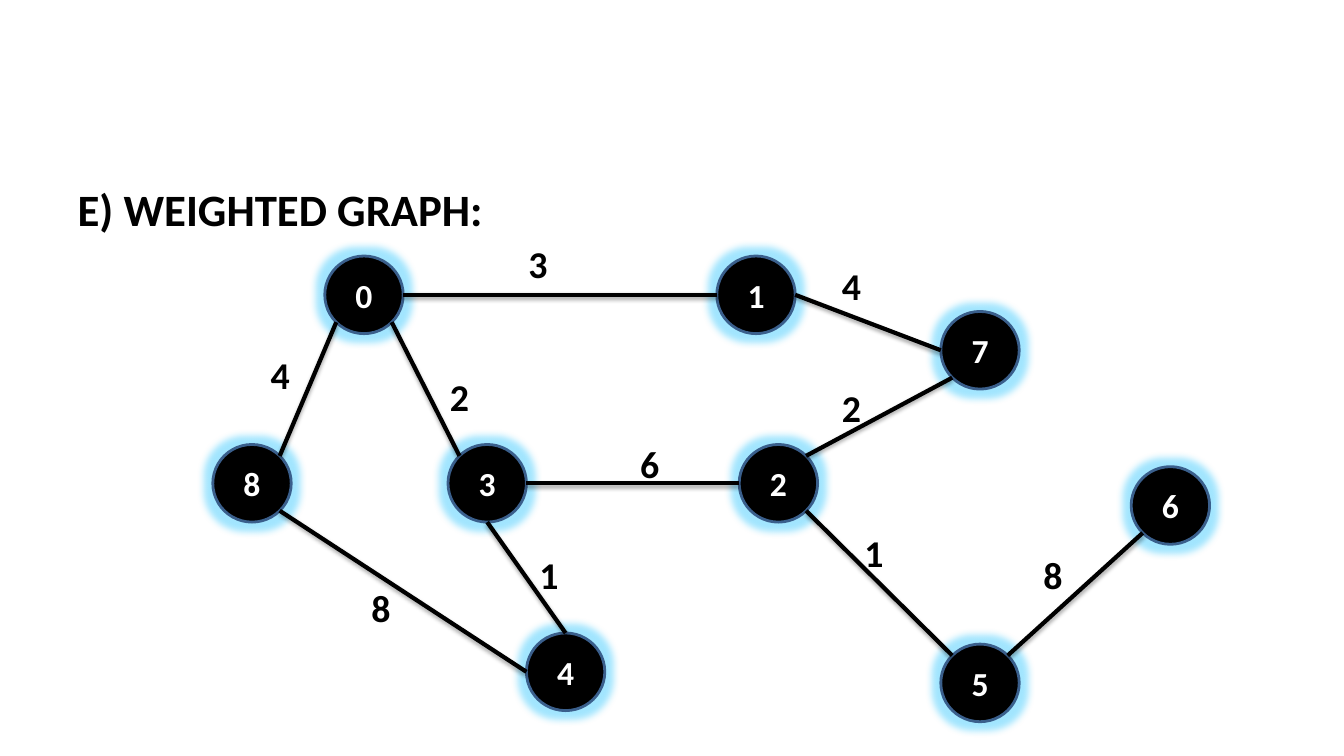
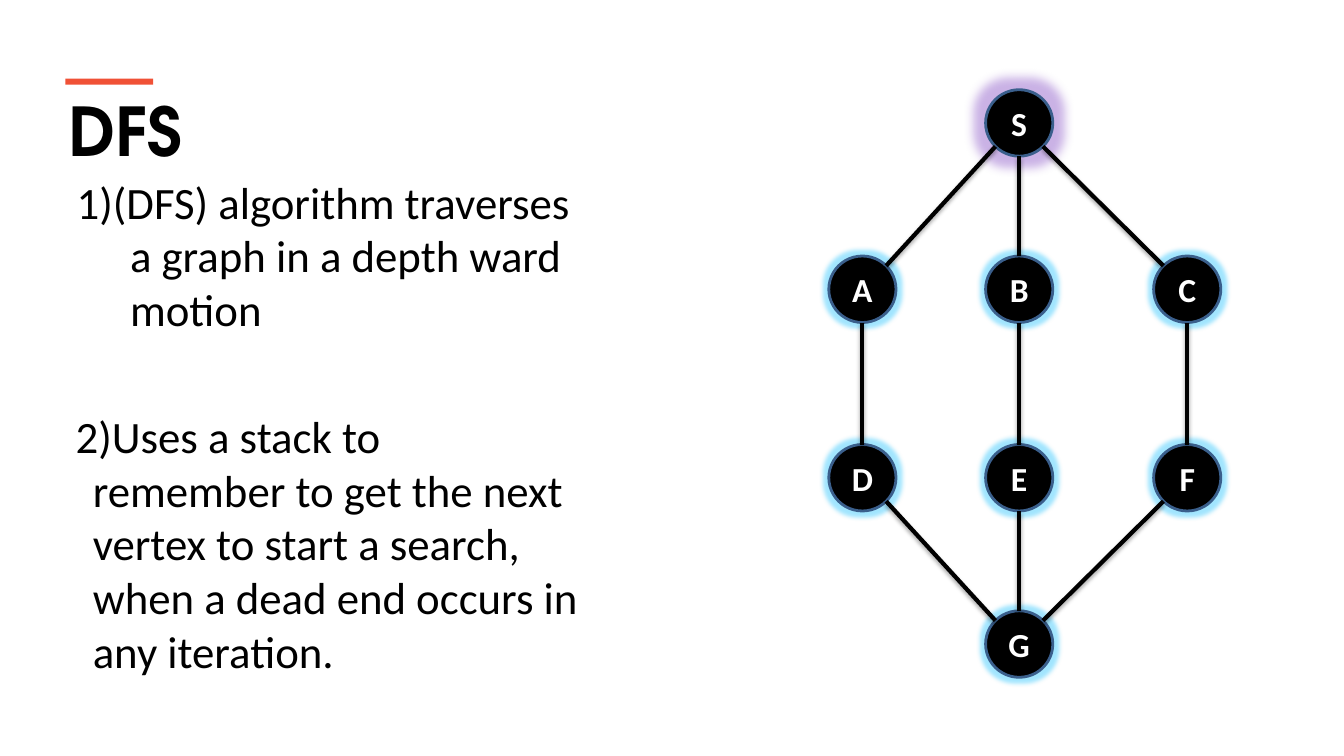
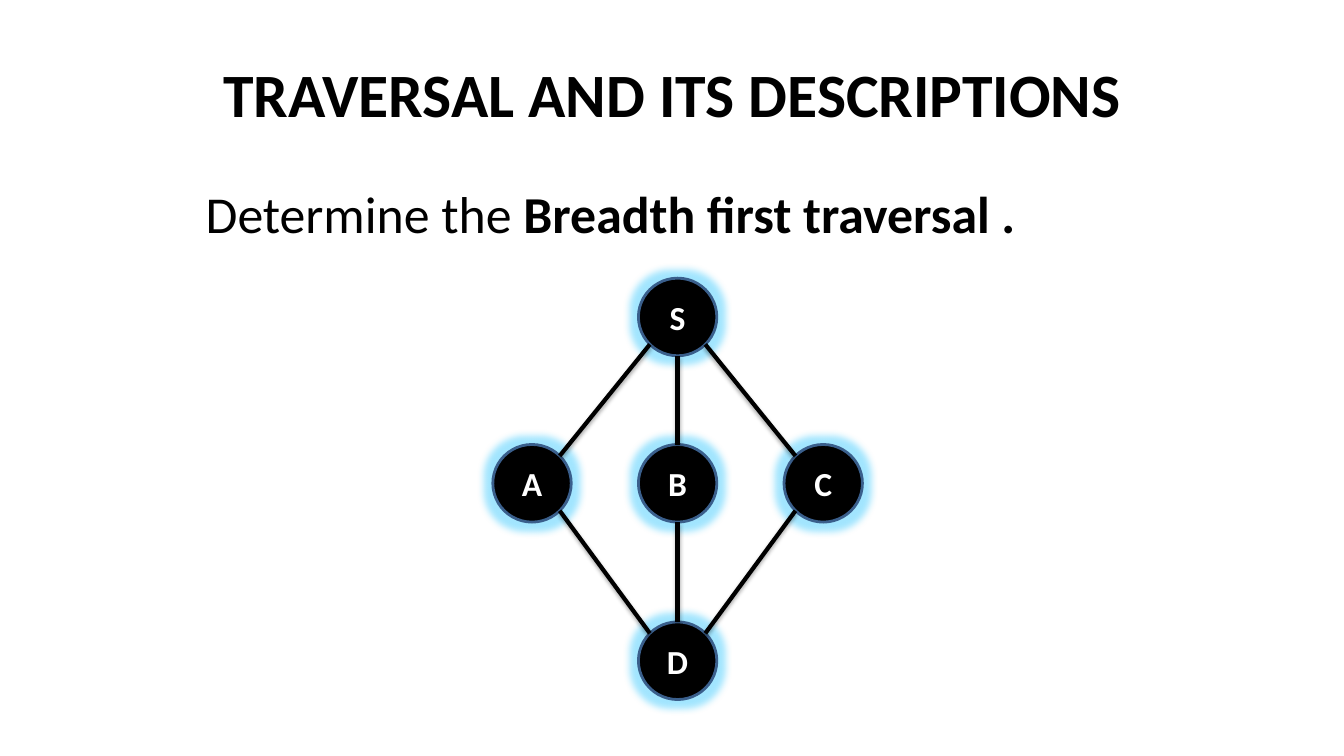
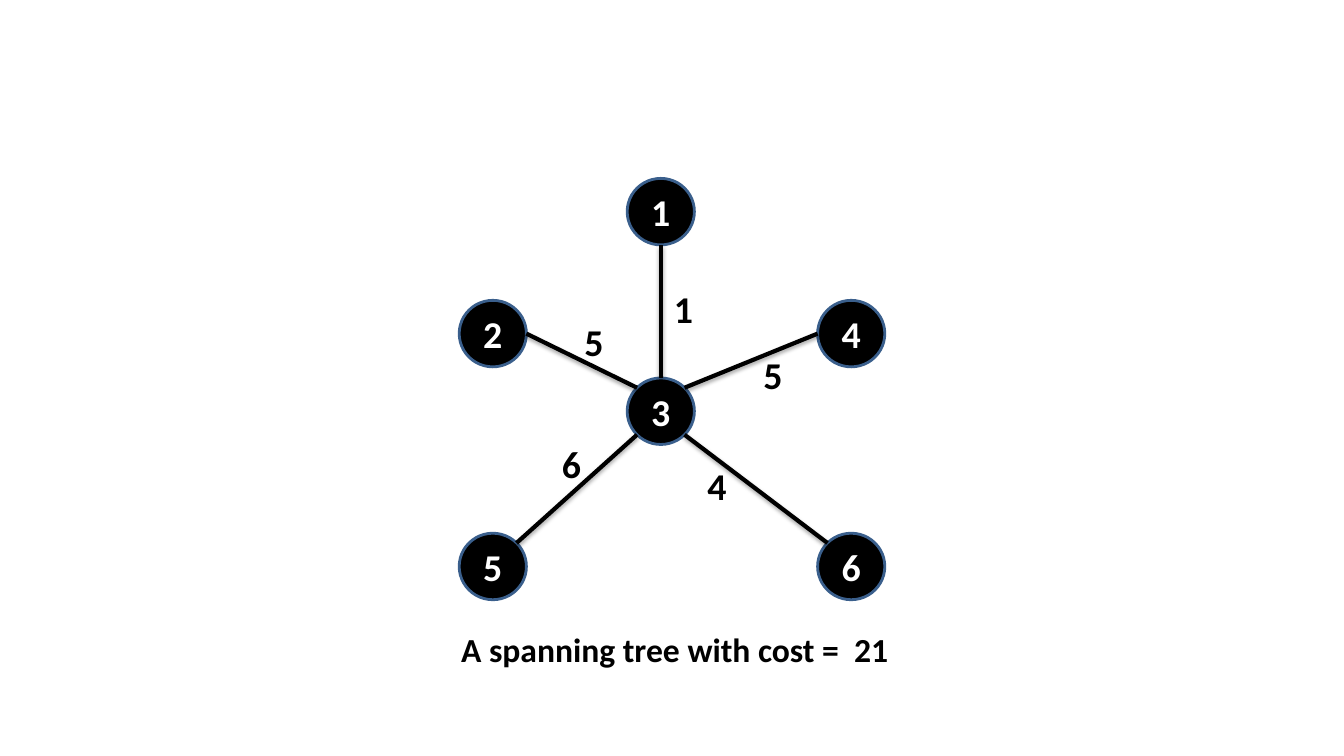
from math import cos, radians, sin

from lxml.etree import SubElement
from pptx import Presentation
from pptx.dml.color import RGBColor
from pptx.enum.shapes import MSO_CONNECTOR, MSO_SHAPE
from pptx.enum.text import MSO_ANCHOR, MSO_AUTO_SIZE, PP_ALIGN
from pptx.oxml.ns import qn
from pptx.util import Inches, Pt

COLORS = {
    "ink": "000000", "paper": "FFFFFF", "rim": "3A5F8C",
    "accent": "F05136", "cyan": "17C0FF", "purple": "7B3FC0",
}
BODY_FONT, HEADING_FONT = "Calibri", "TeX Gyre Adventor"
SLIDE_W, SLIDE_H = Inches(13.33), Inches(7.5)
COL, ROW, ROW_START = SLIDE_W / 120, Inches(0.11), Inches(0.01)
CONTENT_BOX = (0.67, 1.75, 12, 4.95)
# Connection sites of an ellipse, counter-clockwise from the top
SITES = ["N", "NW", "W", "SW", "S", "SE", "E", "NE"]
TITLE_AND_BODY, BLANK = 1, 6


def rgb(name):
    return RGBColor.from_string(COLORS[name])


def grid(col, row):
    return int(col * COL), int(ROW_START + row * ROW)


def write(paragraph, text, size=24, bold=True, color="ink", font=BODY_FONT, align=None):
    """Append text to a paragraph; a newline becomes a line break."""
    for number, line in enumerate(text.split("\n")):
        if number:
            paragraph.add_line_break()
        run = paragraph.add_run()
        run.text = line
        run.font.size, run.font.bold, run.font.name = Pt(size), bold, font
        run.font.color.rgb = rgb(color)
    if align is not None:
        paragraph.alignment = align


def set_margins(frame):
    frame.margin_left = frame.margin_right = Inches(0.13)
    frame.margin_top = frame.margin_bottom = Inches(0.07)


def add_effect(shape, kind, color, alpha, **attributes):
    """Give a shape or connector one effect, such as glow or outerShdw."""
    properties = shape._element.spPr
    effects = properties.find(qn("a:effectLst"))
    if effects is None:
        effects = SubElement(properties, qn("a:effectLst"))
    effect = SubElement(effects, qn(f"a:{kind}"),
                        {key: str(value) for key, value in attributes.items()})
    tint = SubElement(effect, qn("a:srgbClr"), val=COLORS[color])
    SubElement(tint, qn("a:alpha"), val=str(alpha * 1000))


def place(placeholder, left, top, width, height, anchor):
    placeholder.left, placeholder.top = Inches(left), Inches(top)
    placeholder.width, placeholder.height = Inches(width), Inches(height)
    frame = placeholder.text_frame
    frame.auto_size, frame.vertical_anchor = MSO_AUTO_SIZE.NONE, anchor
    return frame


def add_title(slide, text, box, anchor=MSO_ANCHOR.MIDDLE, **style):
    frame = place(slide.shapes.title, *box, anchor)
    write(frame.paragraphs[0], text, **style)


def place_body(slide, box=CONTENT_BOX):
    return place(slide.placeholders[1], *box, MSO_ANCHOR.TOP)


def set_indent(paragraph, margin, first_line, before=0):
    properties = paragraph._p.get_or_add_pPr()
    properties.set("marL", str(Inches(margin)))
    properties.set("indent", str(Inches(first_line)))
    SubElement(properties, qn("a:buNone"))
    paragraph.space_before = Pt(before)


def add_node(slide, name, col, row, span, size, glow, radius):
    left, top = grid(col, row)
    node = slide.shapes.add_shape(MSO_SHAPE.OVAL, left, top, int(span * COL), int(span * ROW))
    node.shadow.inherit = False
    node.fill.solid()
    node.fill.fore_color.rgb = rgb("ink")
    node.line.color.rgb = rgb("rim")
    node.line.width = Pt(2)
    if glow:
        add_effect(node, "glow", glow, 40, rad=Pt(radius))
    frame = node.text_frame
    set_margins(frame)
    frame.vertical_anchor = MSO_ANCHOR.MIDDLE
    write(frame.paragraphs[0], name, size, color="paper", align=PP_ALIGN.CENTER)
    return node


def site_point(node, site):
    angle = radians(90 + 45 * SITES.index(site))
    return (int(node.left + node.width * (1 + cos(angle)) / 2),
            int(node.top + node.height * (1 - sin(angle)) / 2))


def add_edge(slide, start, start_site, end, end_site):
    edge = slide.shapes.add_connector(
        MSO_CONNECTOR.STRAIGHT, *site_point(start, start_site), *site_point(end, end_site))
    edge.line.color.rgb = rgb("ink")
    edge.line.width = Pt(3)
    add_effect(edge, "outerShdw", "ink", 35, blurRad=Pt(3.1), dist=Pt(1.8),
               dir=90 * 60000, rotWithShape=0)
    glue = edge._element.find(".//" + qn("p:cNvCxnSpPr"))
    for tag, node, site in (("stCxn", start, start_site), ("endCxn", end, end_site)):
        SubElement(glue, qn(f"a:{tag}"), id=str(node.shape_id), idx=str(SITES.index(site)))


def add_graph(slide, places, edges, span=7, size=24, glow="cyan", radius=10.5, special=None):
    """Draw nodes at grid places, then edges given as 'node site node site'.

    special maps a node name to its own glow colour and radius.
    """
    nodes = {}
    for name, (col, row) in places.items():
        node_glow = (special or {}).get(name, (glow, radius))
        nodes[name] = add_node(slide, name, col, row, span, size, *node_glow)
    for edge in edges:
        start, start_site, end, end_site = edge.split()
        add_edge(slide, nodes[start], start_site, nodes[end], end_site)


def add_label(slide, text, col, row, width=0.46, height=0.59, size=27):
    label = slide.shapes.add_textbox(*grid(col, row), Inches(width), Inches(height))
    frame = label.text_frame
    frame.word_wrap = False
    set_margins(frame)
    write(frame.paragraphs[0], text, size)


def add_weights(slide, weights):
    for weight in weights:
        add_label(slide, *weight)


def weighted_graph(slide):
    title = slide.shapes.title._element
    title.getparent().remove(title)
    heading = place_body(slide).paragraphs[0]
    set_indent(heading, 0.38, -0.38)
    write(heading, "E) WEIGHTED GRAPH:", 32)
    add_graph(
        slide,
        {"8": (19, 40), "3": (40, 40), "2": (66, 40), "7": (84, 28), "1": (64, 23),
         "0": (29, 23), "4": (47, 57), "5": (84, 58), "6": (101, 42)},
        ["8 NE 0 SW", "8 SE 4 W", "3 S 4 N", "3 E 2 W", "0 SE 3 NW",
         "0 E 1 W", "1 E 7 W", "2 NE 7 SW", "2 SE 5 NW", "6 SW 5 NE"])
    add_weights(slide, [
        ("4", 23, 31), ("3", 46, 21), ("1", 47, 49), ("2", 39, 33), ("6", 56, 39),
        ("8", 32, 52), ("1", 76, 47), ("8", 92, 49), ("2", 74, 34), ("4", 74, 23)])


def depth_first(slide):
    add_title(slide, "DFS", (0.58, 0.84, 12.18, 0.91), MSO_ANCHOR.TOP,
              size=48, font=HEADING_FONT, align=PP_ALIGN.LEFT)
    bar = slide.shapes.add_shape(
        MSO_SHAPE.RECTANGLE, Inches(0.65), Inches(0.78), Inches(0.87), Inches(0.06))
    bar.shadow.inherit = False
    bar.fill.solid()
    bar.fill.fore_color.rgb = rgb("accent")
    bar.line.fill.background()

    frame = place_body(slide, (0.44, 1.68, 5.44, 5.51))
    motion, stack = frame.paragraphs[0], frame.add_paragraph()
    set_indent(motion, 0.75, -0.53)
    write(motion, "1)(DFS) algorithm traverses a graph in a depth ward motion", 32, bold=False)
    set_indent(stack, 0.38, -0.17, before=52)
    write(stack, "2)Uses a stack to\nremember to get the next vertex to start a search, "
                 "when a dead end occurs in any iteration.", 32, bold=False)
    add_graph(
        slide,
        {"S": (88, 8), "A": (74, 23), "B": (88, 23), "C": (103, 23),
         "F": (103, 40), "E": (88, 40), "D": (74, 40), "G": (88, 55)},
        ["S SW A NE", "S S B N", "S SE C NW", "B S E N", "A S D N",
         "C S F N", "E S G N", "D SE G NW", "F SW G NE"],
        span=6, radius=6.5, special={"S": ("purple", 14.5)})


def breadth_first(slide):
    add_title(slide, "TRAVERSAL AND ITS DESCRIPTIONS", (0.67, 0.3, 12, 1.25),
              size=44, align=PP_ALIGN.CENTER)
    task = place_body(slide).paragraphs[0]
    set_indent(task, 1.27, 0)
    write(task, "Determine the", 37, bold=False)
    write(task, " Breadth first traversal .", 37)
    add_graph(
        slide,
        {"S": (57, 25), "D": (57, 56), "A": (44, 40), "B": (57, 40), "C": (70, 40)},
        ["S SW A NE", "D NW A SE", "C NW S SE", "D NE C SW", "B S D N", "S S B N"])


def spanning_tree(slide):
    add_graph(
        slide,
        {"1": (56, 16), "2": (41, 27), "3": (56, 34),
         "4": (73, 27), "6": (73, 48), "5": (41, 48)},
        ["3 N 1 S", "4 W 3 NE", "3 NW 2 E", "5 NE 3 SW", "6 NW 3 SE"],
        span=6, size=27, glow=None)
    add_weights(slide, [
        ("1", 59, 25), ("5", 51, 28), ("5", 67, 31), ("4", 62, 41), ("6", 49, 39)])
    add_label(slide, "A spanning tree with cost =  21", 40, 56, 4.55, 0.54, size=24)


def main():
    deck = Presentation()
    deck.slide_width, deck.slide_height = SLIDE_W, SLIDE_H
    for build, layout in ((weighted_graph, TITLE_AND_BODY), (depth_first, TITLE_AND_BODY),
                          (breadth_first, TITLE_AND_BODY), (spanning_tree, BLANK)):
        build(deck.slides.add_slide(deck.slide_layouts[layout]))
    deck.save("out.pptx")


if __name__ == "__main__":
    main()
